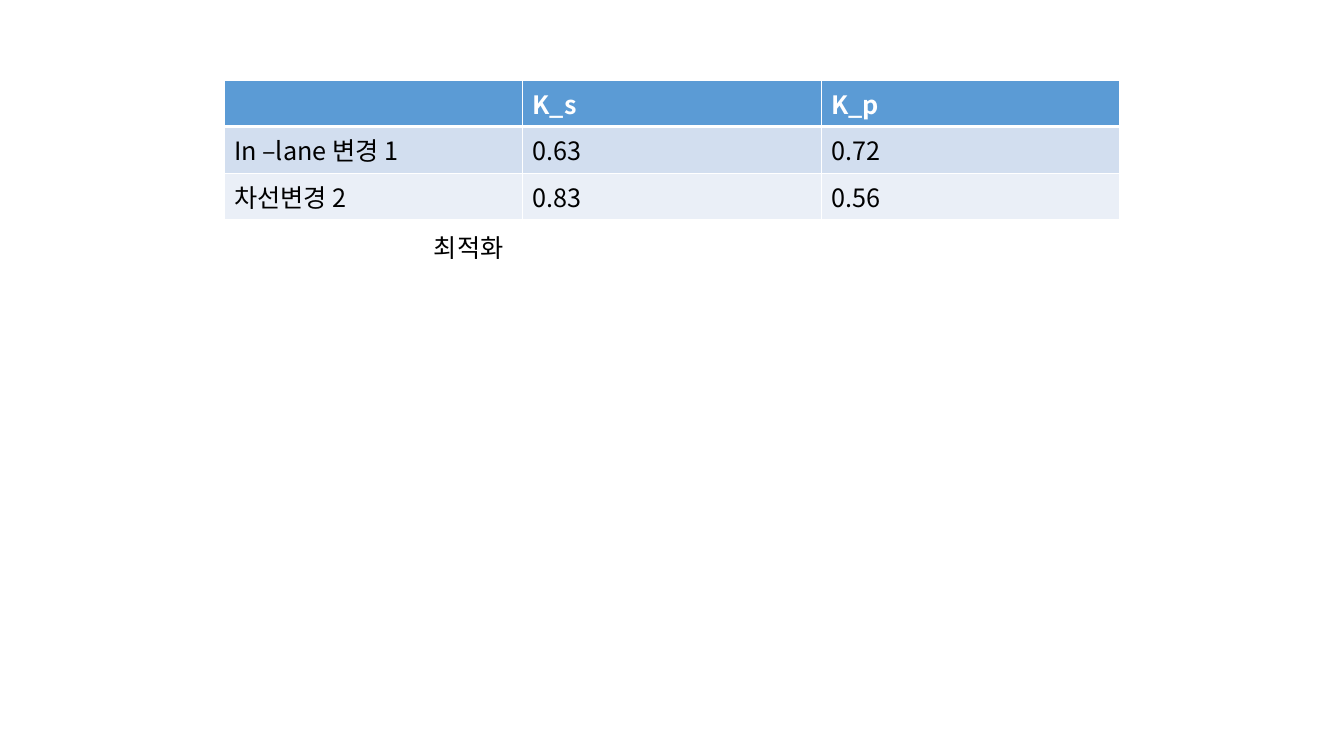
"""Build a slide with a table of gain values and a caption below it."""
from dataclasses import dataclass

from lxml import etree
from pptx import Presentation
from pptx.dml.color import RGBColor
from pptx.enum.text import MSO_AUTO_SIZE
from pptx.oxml.ns import qn
from pptx.slide import Slide
from pptx.table import _Cell
from pptx.text.text import TextFrame
from pptx.util import Emu, Pt

FIT_SHAPE = MSO_AUTO_SIZE.SHAPE_TO_FIT_TEXT
SLIDE_WIDTH, SLIDE_HEIGHT = 1344, 756
EMU_PER_PIXEL = 12192000 / SLIDE_WIDTH


@dataclass(frozen=True)
class Theme:
    font: str = "Noto Sans CJK KR"
    size: int = 18
    header: str = "5B9BD5"
    band_dark: str = "D2DEEF"
    band_light: str = "EAEFF7"
    white: str = "FFFFFF"
    black: str = "000000"
    thin_border: int = 1
    thick_border: int = 3


THEME = Theme()


@dataclass(frozen=True)
class Box:
    left: int
    top: int
    width: int
    height: int

    def emu(self) -> tuple[Emu, Emu, Emu, Emu]:
        return px(self.left), px(self.top), px(self.width), px(self.height)


@dataclass(frozen=True)
class GainRow:
    cells: tuple[str, str, str]
    fill: str
    color: str = THEME.black
    bold: bool = False
    top_border: int = THEME.thin_border
    bottom_border: int = THEME.thin_border


GAIN_TABLE_BOX = Box(224, 80, 896, 123)
CAPTION_BOX = Box(424, 227, 446, 40)
CAPTION = "최적화"
GAIN_ROWS = (
    GainRow(("", "K_s", "K_p"), THEME.header, THEME.white, bold=True,
            bottom_border=THEME.thick_border),
    GainRow(("In –lane 변경 1", "0.63", "0.72"), THEME.band_dark,
            top_border=THEME.thick_border),
    GainRow(("차선변경 2", "0.83", "0.56"), THEME.band_light),
)


def px(pixels: int) -> Emu:
    return Emu(round(pixels * EMU_PER_PIXEL))


def write_text(frame: TextFrame, text: str, color: str, bold: bool = False) -> None:
    frame.text = text
    for run in frame.paragraphs[0].runs:
        font = run.font
        font.name = THEME.font
        font.size = Pt(THEME.size)
        font.bold = bold
        font.color.rgb = RGBColor.from_string(color)
        etree.SubElement(run._r.get_or_add_rPr(), qn("a:ea"), typeface=THEME.font)


def set_borders(cell: _Cell, row: GainRow) -> None:
    properties = cell._tc.get_or_add_tcPr()
    widths = {"a:lnL": THEME.thin_border, "a:lnR": THEME.thin_border,
              "a:lnT": row.top_border, "a:lnB": row.bottom_border}
    for position, (tag, width) in enumerate(widths.items()):
        line = etree.Element(qn(tag), w=str(Pt(width)))
        fill = etree.SubElement(line, qn("a:solidFill"))
        etree.SubElement(fill, qn("a:srgbClr"), val=THEME.white)
        properties.insert(position, line)


def draw_gain_table(slide: Slide, rows: tuple[GainRow, ...], box: Box) -> None:
    shape = slide.shapes.add_table(len(rows), len(rows[0].cells), *box.emu())
    for table_row, row in zip(shape.table.rows, rows):
        for cell, text in zip(table_row.cells, row.cells):
            cell.fill.solid()
            cell.fill.fore_color.rgb = RGBColor.from_string(row.fill)
            set_borders(cell, row)
            write_text(cell.text_frame, text, row.color, row.bold)


def draw_caption(slide: Slide, text: str, box: Box) -> None:
    frame = slide.shapes.add_textbox(*box.emu()).text_frame
    frame.word_wrap = True
    frame.auto_size = FIT_SHAPE
    write_text(frame, text, THEME.black)


def main() -> None:
    presentation = Presentation()
    presentation.slide_width = px(SLIDE_WIDTH)
    presentation.slide_height = px(SLIDE_HEIGHT)
    slide = presentation.slides.add_slide(presentation.slide_layouts[6])
    draw_gain_table(slide, GAIN_ROWS, GAIN_TABLE_BOX)
    draw_caption(slide, CAPTION, CAPTION_BOX)
    presentation.save("out.pptx")


main()
